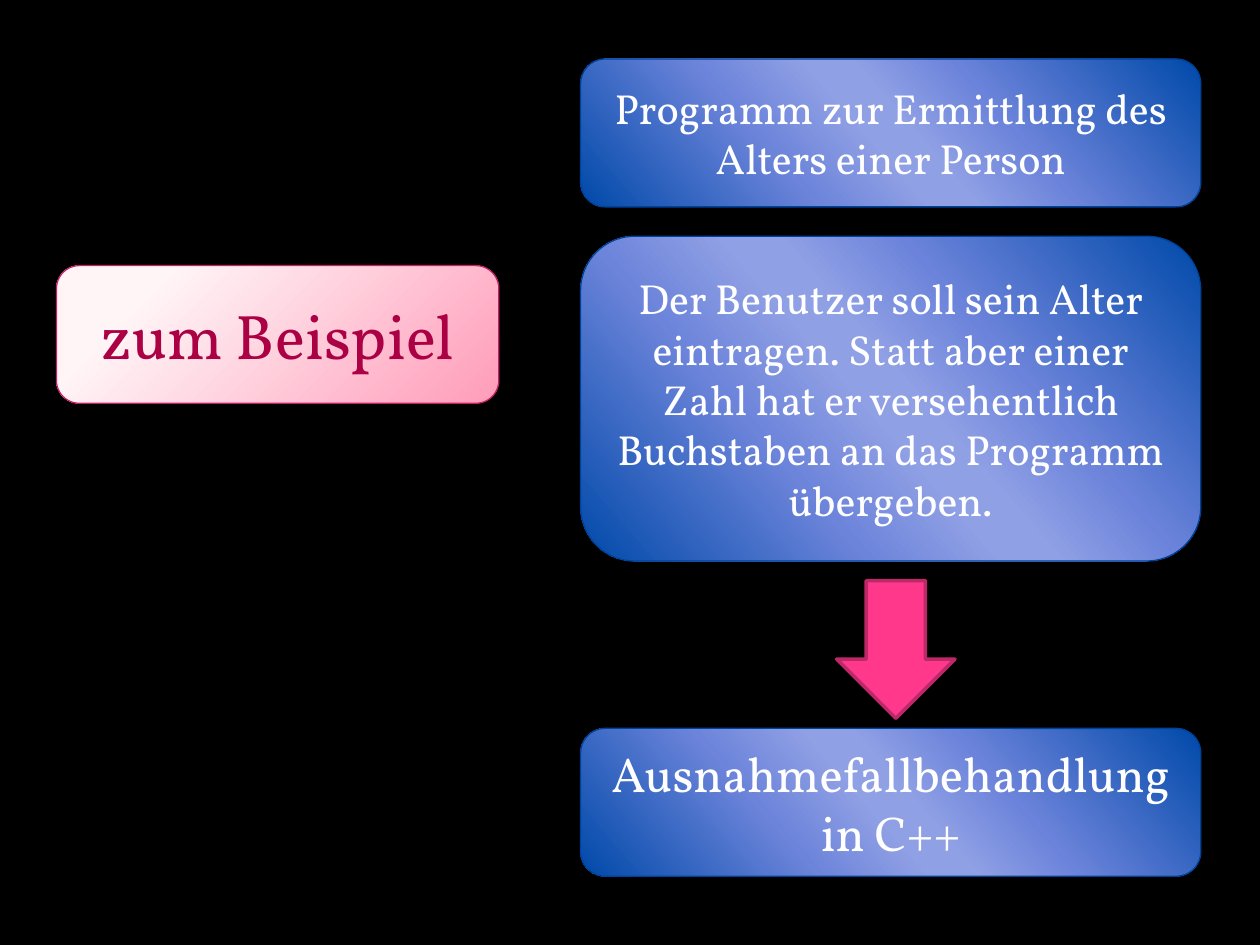
from pptx import Presentation
from pptx.dml.color import RGBColor
from pptx.enum.shapes import MSO_SHAPE
from pptx.enum.text import MSO_ANCHOR, PP_ALIGN
from pptx.oxml import parse_xml
from pptx.oxml.ns import nsdecls, qn
from pptx.util import Pt


def color(value):
    return RGBColor.from_string(value)


BLUE = {
    "stops": [(0, "0049A9"), (33, "6B83DA"), (47, "90A0E5"),
              (53, "90A0E5"), (68, "6C84DA"), (100, "0049A9")],
    "course": f'<a:lin ang="{139 * 60000}" scaled="0"/>',
    "line": "004299",
    "text": "FFFFFF",
}
PINK = {
    "stops": [(20, "FFF5F7"), (100, "FF9CB9")],
    "course": '<a:path path="circle"><a:fillToRect l="-15000" t="-15000" '
              'r="115000" b="115000"/></a:path>',
    "line": "C12165",
    "text": "AB0043",
}


class SlideBuilder:
    """Draws styled cards and arrows on one slide."""

    font = "Vollkorn"

    def __init__(self, page, background):
        self.page = page
        page.background.fill.solid()
        page.background.fill.fore_color.rgb = color(background)

    def shape(self, kind, place, line, width):
        shape = self.page.shapes.add_shape(kind, *map(Pt, place))
        shape.shadow.inherit = False
        shape.line.color.rgb = color(line)
        shape.line.width = Pt(width)
        return shape

    def gradient(self, shape, stops, course):
        shape.fill.gradient()
        marks = "".join(
            f'<a:gs pos="{position * 1000}"><a:srgbClr val="{value}"/></a:gs>'
            for position, value in stops)
        properties = shape._element.spPr
        properties.replace(properties.find(qn("a:gradFill")), parse_xml(
            f'<a:gradFill {nsdecls("a")} rotWithShape="1">'
            f"<a:gsLst>{marks}</a:gsLst>{course}</a:gradFill>"))

    def card(self, place, text, size, style):
        box = self.shape(MSO_SHAPE.ROUNDED_RECTANGLE, place, style["line"], 0.75)
        self.gradient(box, style["stops"], style["course"])
        frame = box.text_frame
        frame.word_wrap = True
        frame.vertical_anchor = MSO_ANCHOR.MIDDLE
        para = frame.paragraphs[0]
        para.alignment = PP_ALIGN.CENTER
        span = para.add_run()
        span.text = text
        for name, value in {"name": self.font, "size": Pt(size)}.items():
            setattr(span.font, name, value)
        span.font.color.rgb = color(style["text"])

    def arrow(self, place, fill, line):
        arrow = self.shape(MSO_SHAPE.DOWN_ARROW, place, line, 2)
        arrow.fill.solid()
        arrow.fill.fore_color.rgb = color(fill)


deck = Presentation()
deck.slide_width, deck.slide_height = Pt(720), Pt(540)
slide = SlideBuilder(deck.slides.add_slide(deck.slide_layouts[6]), "000000")

LEFT, WIDTH = 331.8, 354.4
slide.card((32.3, 151.8, 252.8, 78.7), "zum Beispiel", 36, PINK)
for top, height, size, text in [
    (33.7, 84.5, 24, "Programm zur Ermittlung des Alters einer Person"),
    (135, 185.6, 24, "Der Benutzer soll sein Alter eintragen. Statt aber einer "
                     "Zahl hat er versehentlich Buchstaben an das Programm übergeben."),
    (416.2, 84.5, 28, "Ausnahmefallbehandlung in C++"),
]:
    slide.card((LEFT, top, WIDTH, height), text, size, BLUE)
slide.arrow((478.1, 331.8, 67.6, 78.7), "FF388C", "BD2968")

deck.save("out.pptx")
